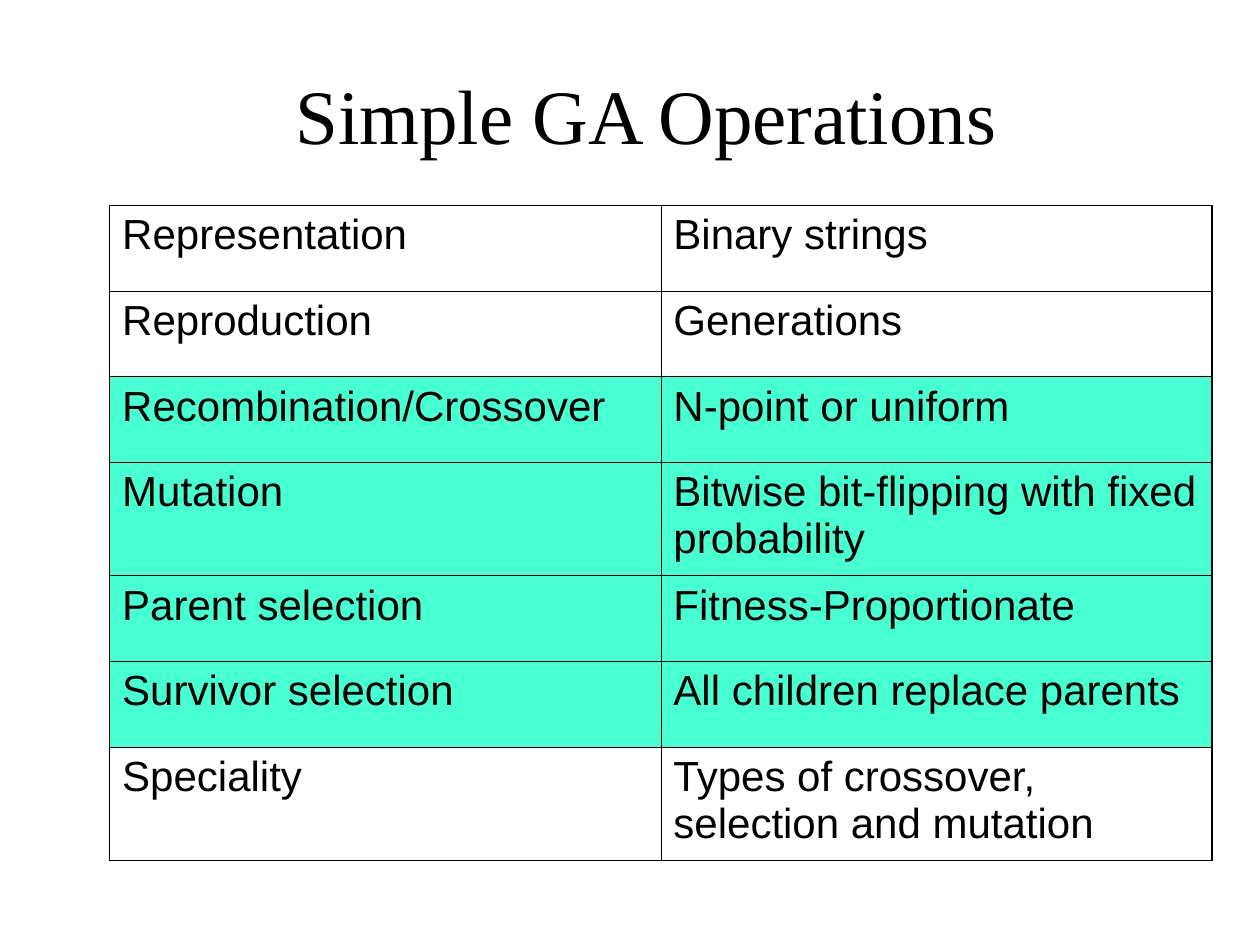
import lxml.etree
import pptx
import pptx.dml.color
import pptx.enum.text
import pptx.oxml.ns
import pptx.util

Inches = pptx.util.Inches
COLORS = {"text": "000000", "border": "000000", "highlight": "47FFD1"}
TITLE_FONT = {"name": "Times New Roman", "size": pptx.util.Pt(44)}
CELL_FONT = {"name": "Arial", "size": pptx.util.Pt(24)}
THIN, THICK = pptx.util.Pt(0.45), pptx.util.Pt(1.08)
ROW_HEIGHT, TALL_ROW_HEIGHT = 0.68, 0.9
OPERATIONS = [
    ("Representation", "Binary strings"),
    ("Reproduction", "Generations"),
    ("Recombination/Crossover", "N-point or uniform"),
    ("Mutation", "Bitwise bit-flipping with fixed probability"),
    ("Parent selection", "Fitness-Proportionate"),
    ("Survivor selection", "All children replace parents"),
    ("Speciality", "Types of crossover, selection and mutation"),
]
HIGHLIGHTED = {"Recombination/Crossover", "Mutation", "Parent selection", "Survivor selection"}
TALL = {"Mutation", "Speciality"}


def rgb(name):
    """Return the named colour."""
    return pptx.dml.color.RGBColor.from_string(COLORS[name])


def write(tf, text, font):
    """Write one formatted paragraph and return it."""
    p = tf.paragraphs[0]
    r = p.add_run()
    r.text = text
    for key, value in font.items():
        setattr(r.font, key, value)
    r.font.color.rgb = rgb("text")
    return p


def set_border(cell, side, width):
    """Draw a solid line on one side of a cell."""
    qn = pptx.oxml.ns.qn
    tc_pr = cell._tc.get_or_add_tcPr()
    ln = lxml.etree.SubElement(tc_pr, qn(f"a:ln{side}"), w=str(int(width)))
    fill = lxml.etree.SubElement(ln, qn("a:solidFill"))
    lxml.etree.SubElement(fill, qn("a:srgbClr"), val=COLORS["border"])


def add_title(s, left, top, width, height):
    """Place the centred title in its box."""
    tf = s.shapes.add_textbox(left, top, width, height).text_frame
    tf.word_wrap = True
    tf.vertical_anchor = pptx.enum.text.MSO_ANCHOR.MIDDLE
    p = write(tf, "Simple GA Operations", TITLE_FONT)
    p.alignment = pptx.enum.text.PP_ALIGN.CENTER


def add_operations(s, left, top, width, height):
    """Place the two-column table of operations in its box."""
    rows, cols = len(OPERATIONS), len(OPERATIONS[0])
    table = s.shapes.add_table(rows, cols, left, top, width, height).table
    table.first_row = table.horz_banding = False
    for column in table.columns:
        column.width = width // cols
    for i, texts in enumerate(OPERATIONS):
        name = texts[0]
        table.rows[i].height = Inches(TALL_ROW_HEIGHT if name in TALL else ROW_HEIGHT)
        for j, text in enumerate(texts):
            cell = table.cell(i, j)
            write(cell.text_frame, text, CELL_FONT)
            outer = {"L": j == 0, "R": j == cols - 1, "T": i == 0, "B": i == rows - 1}
            for side, is_outer in outer.items():
                set_border(cell, side, THICK if is_outer else THIN)
            if name in HIGHLIGHTED:
                cell.fill.solid()
                cell.fill.fore_color.rgb = rgb("highlight")
            else:
                cell.fill.background()


def main():
    """Build and save the slide."""
    prs = pptx.Presentation()
    prs.slide_width, prs.slide_height = Inches(10), Inches(7.5)
    s = prs.slides.add_slide(prs.slide_layouts[6])
    add_title(s, Inches(0.88), Inches(0.28), Inches(8.5), Inches(1.25))
    add_operations(s, Inches(0.87), Inches(1.63), Inches(8.75), Inches(5.2))
    prs.save("out.pptx")


if __name__ == "__main__":
    main()
